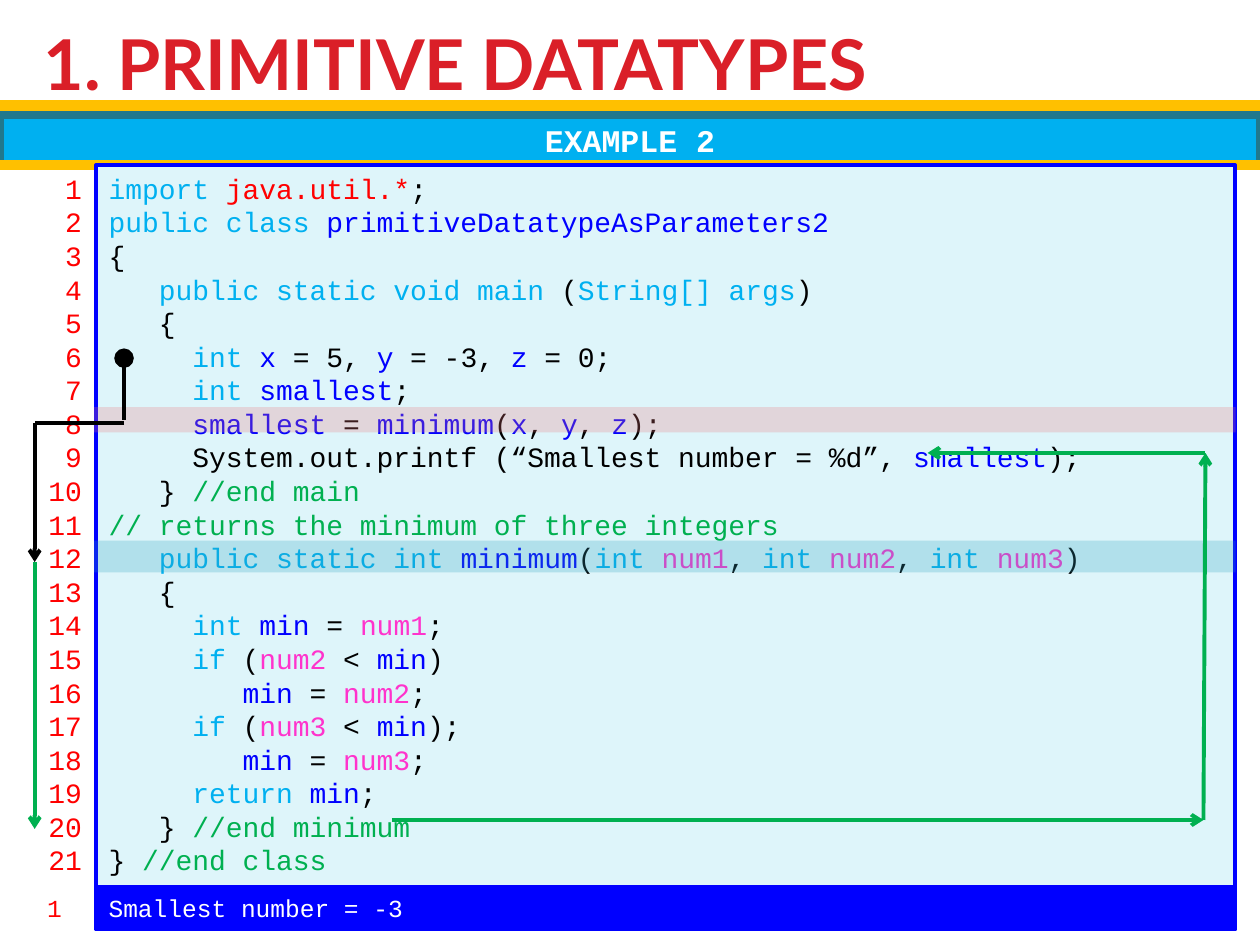
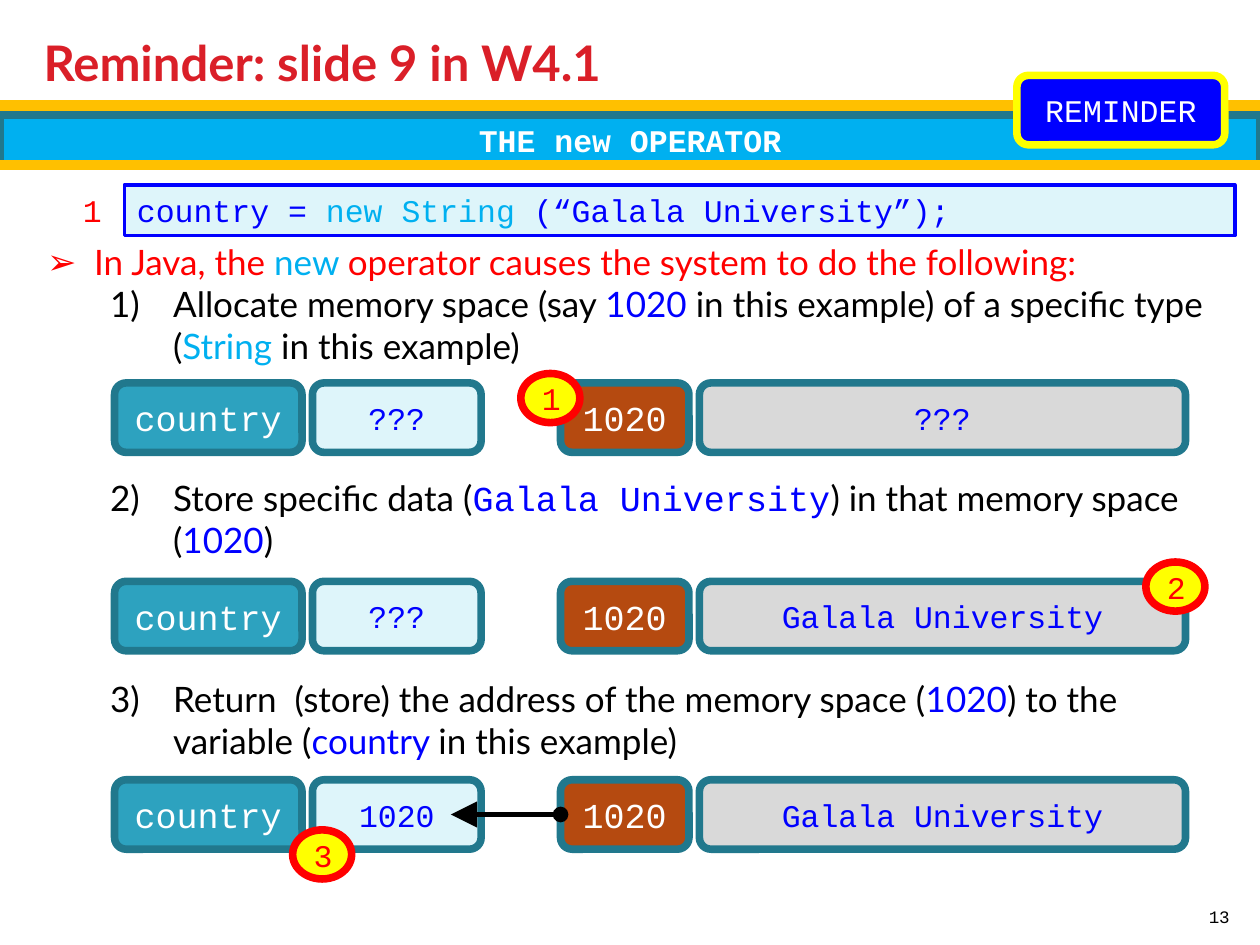
from dataclasses import dataclass, field
from lxml import etree
from pptx import Presentation
from pptx import util as u
from pptx.dml.color import RGBColor
from pptx.enum import shapes, text
from pptx.oxml.ns import qn


@dataclass
class Theme:
    mono: str = "Courier New"
    sans: str = "Lato"
    ink: dict = field(default_factory=lambda: dict(
        n="000000", w="FFFFFF", r="FF0000", k="00B0F0", b="0000FF",
        g="00B050", p="FF33CC", t="DA1F28", m="0000FF"))
    gold: str = "FFC000"
    pale: str = "DEF5FA"
    teal: str = "2DA2BF"
    edge: str = "21788D"
    rust: str = "B54A10"
    gray: str = "D9D9D9"
    rose: str = "EC767C"
    sun: str = "FFFF00"
    huge: int = 40
    head: int = 28
    big: int = 20
    mid: int = 18
    code: int = 16
    out: int = 14
    tiny: int = 10
    thin: float = 2.25
    bold: float = 4.33


T = Theme()
INK = T.ink

CODE = [
    "^kimport ^rjava.util.*^n;",
    "^kpublic class ^bprimitiveDatatypeAsParameters2",
    "^n{",
    "^n   ^kpublic static void main ^n(^kString[] args^n)",
    "^n   {",
    "^k     int ^bx ^n= 5, ^by^n = -3, ^bz ^n= 0;",
    "^k     int ^bsmallest^n;",
    "^b     smallest ^n= ^bminimum^n(^bx^n, ^by^n, ^bz^n);",
    "^n     System.out.printf (“Smallest number = %d”, ^bsmallest^n);",
    "^n   }^g //end main",
    "^g// returns the minimum of three integers",
    "^k   public static int ^bminimum^n(^kint ^pnum1^n, ^kint ^pnum2^n, ^kint ^pnum3^n)",
    "^n   {",
    "^k     int ^bmin^n = ^pnum1^n;",
    "^k     if ^n(^pnum2 ^n< ^bmin^n)",
    "^b        min ^n= ^pnum2^n;",
    "^k     if ^n(^pnum3 ^n< ^bmin^n);",
    "^b        min ^n= ^pnum3^n;",
    "^k     return ^bmin^n;",
    "^n   }^g //end minimum",
    "^n} ^g//end class",
]
MARKS = [(10.9, 0.64, T.teal), (8.21, 0.51, T.rose)]
FLOW = [
    ("n", [(2.5, 8.46), (2.5, 7.22)], "oval", "lg"),
    ("n", [(2.5, 8.53), (0.7, 8.53)], None, None),
    ("n", [(0.7, 8.53), (0.7, 11.33)], "arrow", "med"),
    ("g", [(0.7, 11.33), (0.7, 16.71)], "arrow", "med"),
    ("g", [(7.9, 16.53), (24.26, 16.53)], "arrow", "med"),
    ("g", [(24.26, 16.53), (24.3, 9.13)], "arrow", "med"),
    ("g", [(24.3, 9.13), (18.7, 9.13)], "arrow", "med"),
]
LEAD = "^rIn Java, the ^knew ^roperator causes the system to do the following:"
STEPS = [
    (4.72, 2.82, "^nAllocate memory space (say ^b1020 ^nin this example) of a "
                 "specific type (^kString ^nin this example)"),
    (9.49, 1.96, "^nStore specific data (^mGalala University^n) in that memory "
                 "space (^b1020^n)"),
    (13.53, 1.96, "^nReturn  (store) the address of the memory space (^b1020^n) "
                  "to the variable (^bcountry ^nin this example)"),
]
CELLS = [(2.31, 3.78, T.teal, "w", T.big), (6.3, 3.4, T.pale, "b", T.mid),
         (11.3, 2.59, T.rust, "w", T.big), (14.1, 9.8, T.gray, "b", T.mid)]
ROWS = [("country", "???", "1020", "???"),
        ("country", "???", "1020", "Galala University"),
        ("country", "1020", "1020", "Galala University")]
TOP, STEP, TALL = 7.72, 4, 1.4
BADGES = [(10.5, 7.53), (23.1, 11.33), (5.9, 16.73)]

KIND = shapes.MSO_SHAPE
MID = text.MSO_ANCHOR.MIDDLE
LEFT, CENTER, RIGHT = (text.PP_ALIGN.LEFT, text.PP_ALIGN.CENTER,
                       text.PP_ALIGN.RIGHT)


def rgb(hue):
    return RGBColor.from_string(hue)


def add(node, tag, **attrs):
    return etree.SubElement(node, qn("a:" + tag), attrs)


def bullet(para, left, hang, mark=None, start=None):
    props = para._p.get_or_add_pPr()
    props.set("marL", str(u.Cm(left)))
    props.set("indent", str(-u.Cm(hang)))
    if mark:
        add(add(props, "buClr"), "srgbClr", val=INK["r"])
        add(props, "buFont", typeface=T.sans)
        add(props, "buChar", char=mark)
    else:
        add(props, "buAutoNum", type="arabicParenR", startAt=str(start))


def write(shape, lines, size=T.mid, font=T.mono, bold=False, align=LEFT,
          anchor=text.MSO_ANCHOR.TOP, lists=()):
    frame = shape.text_frame
    frame.word_wrap = True
    frame.vertical_anchor = anchor
    for i, line in enumerate(lines):
        para = frame.paragraphs[0] if i == 0 else frame.add_paragraph()
        para.alignment = align
        if lists:
            bullet(para, **lists[i])
        for part in line.split("^")[1:]:
            run = para.add_run()
            run.text = part[1:]
            run.font.name = T.mono if part[0] == "m" else font
            run.font.size = u.Pt(size)
            run.font.bold = bold
            run.font.color.rgb = rgb(INK[part[0]])


def label(slide, at, lines, **look):
    write(slide.shapes.add_textbox(*map(u.Cm, at)), lines, **look)


def box(slide, at, fill, line=None, width=T.bold, kind=KIND.RECTANGLE,
        alpha=None, lines=(), **look):
    shape = slide.shapes.add_shape(kind, *map(u.Cm, at))
    shape.shadow.inherit = False
    shape.fill.solid()
    shape.fill.fore_color.rgb = rgb(fill)
    if alpha:
        hue = shape._element.spPr.find(qn("a:solidFill"))[0]
        add(hue, "alpha", val=str(alpha * 1000))
    if line:
        shape.line.color.rgb = rgb(line)
        shape.line.width = u.Pt(width)
    else:
        shape.line.fill.background()
    if lines:
        write(shape, lines, **look)
    return shape


def badge(slide, at, fill, line, words, kind=KIND.ROUNDED_RECTANGLE,
          size=T.mid):
    return box(slide, at, fill, line, kind=kind, lines=[words], size=size,
               align=CENTER, anchor=MID)


def link(slide, ends, hue, width=T.thin, head=None, tail=None, scale="med"):
    (x, y), (x2, y2) = ends
    line = slide.shapes.add_connector(shapes.MSO_CONNECTOR.STRAIGHT,
                                      *map(u.Cm, (x, y, x2, y2)))
    line.line.color.rgb = rgb(hue)
    line.line.width = u.Pt(width)
    stroke = line.line._get_or_add_ln()
    if head:
        add(stroke, "headEnd", type=head)
    if tail:
        add(stroke, "tailEnd", type=tail, w=scale, len=scale)
    add(line._element.spPr, "effectLst")
    return line


def start(deck, title, size, band):
    slide = deck.slides.add_slide(deck.slide_layouts[6])
    label(slide, (0.63, 0.43, 24.05, 1.65), ["^t" + title], size=size,
          font=T.sans, bold=True, anchor=MID)
    link(slide, [(0, 2.13), (25.4, 2.13)], T.gold, 6)
    box(slide, (0, 2.32, 25.4, 0.99), INK["k"], T.edge, lines=["^w" + band],
        bold=True, align=CENTER, anchor=MID)
    link(slide, [(0, 3.33), (25.4, 3.33)], T.gold, 6)
    return slide


def example(deck):
    slide = start(deck, "1. PRIMITIVE DATATYPES", T.huge, "EXAMPLE 2")
    box(slide, (1.94, 3.33, 22.96, 14.63), T.pale, INK["b"], T.thin,
        lines=CODE, size=T.code)
    label(slide, (0.5, 3.33, 1.4, 14.63),
          [f"^r{n}" for n in range(1, len(CODE) + 1)],
          size=T.code, align=RIGHT)
    for y, tall, hue in MARKS:
        box(slide, (1.9, y, 23.01, tall), hue, alpha=25)
    for key, ends, tail, scale in FLOW:
        link(slide, ends, INK[key], tail=tail, scale=scale)
    box(slide, (1.94, 17.88, 22.96, 0.86), INK["b"], INK["b"], T.thin,
        lines=["^wSmallest number = -3"], size=T.out)
    label(slide, (0.7, 17.88, 0.69, 0.86), ["^r1"], size=T.out)


def reminder(deck):
    slide = start(deck, "Reminder: slide 9 in W4.1", T.head,
                  "THE new OPERATOR")
    box(slide, (2.51, 3.73, 22.38, 1.02), T.pale, INK["b"], T.thin,
        lines=["^bcountry = ^knew String ^b(“Galala University”);"])
    label(slide, (0.5, 3.73, 1.8, 1.02), ["^r1"], align=RIGHT)
    for i, (y, tall, words) in enumerate(STEPS):
        lines, lists = [words], [dict(left=2.54, hang=1.27, start=i + 1)]
        if i == 0:
            lines.insert(0, LEAD)
            lists.insert(0, dict(left=0.95, hang=0.95, mark="➢"))
        label(slide, (0.7, y, 24, tall), lines, size=T.big, font=T.sans,
              lists=lists)
    for i, row in enumerate(ROWS):
        y = TOP + i * STEP
        cells = [badge(slide, (x, y, wide, TALL), fill, T.edge,
                       f"^{key}{word}", size=size)
                 for (x, wide, fill, key, size), word in zip(CELLS, row)]
    mid = y + TALL / 2
    arrow = link(slide, [(11.3, mid), (9.09, mid)], INK["n"], 3, "oval",
                 "triangle", "lg")
    arrow.begin_connect(cells[2], 1)
    for i, (x, y) in enumerate(BADGES, 1):
        badge(slide, (x, y, 1.19, 0.99), T.sun, INK["r"], f"^r{i}", KIND.OVAL)
    label(slide, (24.02, 17.8, 1.02, 1.02), ["^n13"], size=T.tiny,
          align=RIGHT, anchor=text.MSO_ANCHOR.BOTTOM)
    badge(slide, (20.5, 1.52, 4.19, 1.4), INK["b"], T.sun, "^wREMINDER")


def main():
    deck = Presentation()
    deck.slide_width, deck.slide_height = u.Cm(25.4), u.Cm(19.05)
    example(deck)
    reminder(deck)
    deck.save("out.pptx")


if __name__ == "__main__":
    main()
